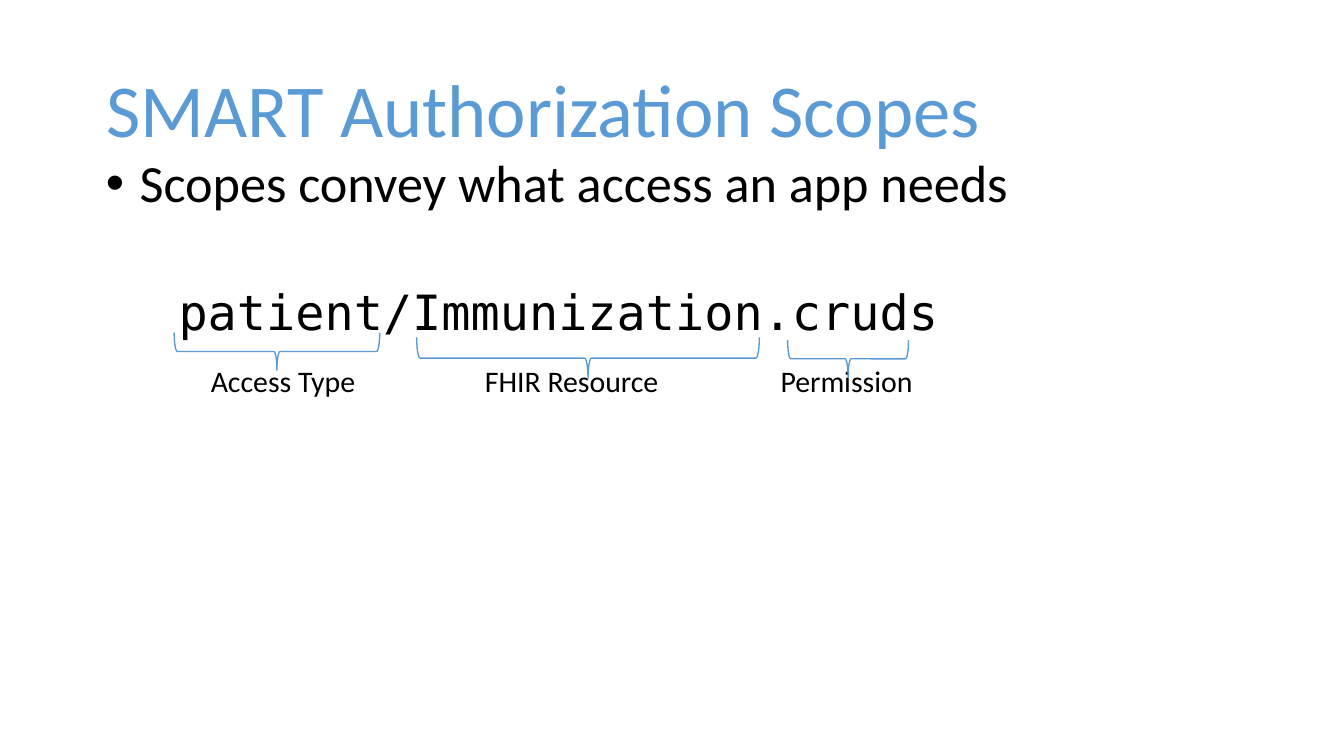
from lxml.etree import SubElement
from pptx import Presentation
from pptx.dml.color import RGBColor
from pptx.enum.shapes import MSO_SHAPE as Shape
from pptx.enum.text import MSO_ANCHOR as Anchor, PP_ALIGN as Align
from pptx.oxml.ns import qn
from pptx.util import Emu, Pt

PX = 4572  # EMU per px, 200 px to the inch
COLORS = {"accent": "5B9BD5", "text": "000000"}
SANS, MONO = "Calibri", "DejaVu Sans Mono"

# Label, its left and width, then the brace's left, top, width and height
SCOPE_PARTS = [
    ("Access Type", 294, 258, (259, 495, 306, 56)),
    ("FHIR Resource", 702, 302, (620, 502, 510, 62)),
    ("Permission", 1142, 240, (1172, 506, 180, 56)),
]
LABEL_TOP, LABEL_HEIGHT = 530, 56


def px(value):
    return Emu(round(value * PX))


def color(name):
    return RGBColor.from_string(COLORS[name])


def write(frame, text, size, font=SANS, ink="text", spacing=None,
          anchor=Anchor.TOP, inset=10):
    frame.text = text
    frame.word_wrap = True
    frame.vertical_anchor = anchor
    frame.margin_left = frame.margin_right = px(20)
    frame.margin_top = frame.margin_bottom = px(inset)
    paragraph = frame.paragraphs[0]
    paragraph.alignment = Align.LEFT
    paragraph.line_spacing = spacing
    for run in paragraph.runs:
        run.font.size = Pt(size)
        run.font.name = font
        run.font.color.rgb = color(ink)
    return paragraph


def set_title(slide, text, box):
    title = slide.shapes.title
    title.left, title.top, title.width, title.height = map(px, box)
    write(title.text_frame, text, 40, ink="accent", spacing=0.9,
          anchor=Anchor.MIDDLE)


def add_text(slide, text, box, size, **style):
    frame = slide.shapes.add_textbox(*map(px, box)).text_frame
    return write(frame, text, size, **style)


def add_bullet(paragraph, indent):
    props = paragraph._p.get_or_add_pPr()
    props.set("marL", str(px(indent)))
    props.set("indent", str(-px(indent)))
    SubElement(props, qn("a:buFont"), typeface="Arial")
    SubElement(props, qn("a:buChar"), char="•")


def add_brace(slide, left, top, width, height):
    """Draw a brace that opens upward over the given visible area."""
    shift = (width - height) / 2
    brace = slide.shapes.add_shape(
        Shape.RIGHT_BRACE, px(left + shift), px(top - shift),
        px(height), px(width))
    brace.rotation = 90
    brace.shadow.inherit = False
    brace.fill.background()
    brace.line.color.rgb = color("accent")
    brace.line.width = Pt(0.75)


def main():
    deck = Presentation()
    deck.slide_width, deck.slide_height = px(2000), px(1125)
    slide = deck.slides.add_slide(deck.slide_layouts[5])

    # Title and statement
    set_title(slide, "SMART Authorization Scopes", (138, 60, 1724, 218))
    statement = add_text(slide, "Scopes convey what access an app needs",
                         (138, 224, 1724, 714), 28, spacing=0.9)
    add_bullet(statement, 50)

    # Braces and labels below the parts of the scope
    for label, left, width, brace in SCOPE_PARTS:
        add_text(slide, label, (left, LABEL_TOP, width, LABEL_HEIGHT), 16)
        add_brace(slide, *brace)

    # Scope string
    add_text(slide, "patient/Immunization.cruds", (246, 410, 1238, 120), 26,
             font=MONO, spacing=0.9, inset=20)

    deck.save("out.pptx")


if __name__ == "__main__":
    main()
